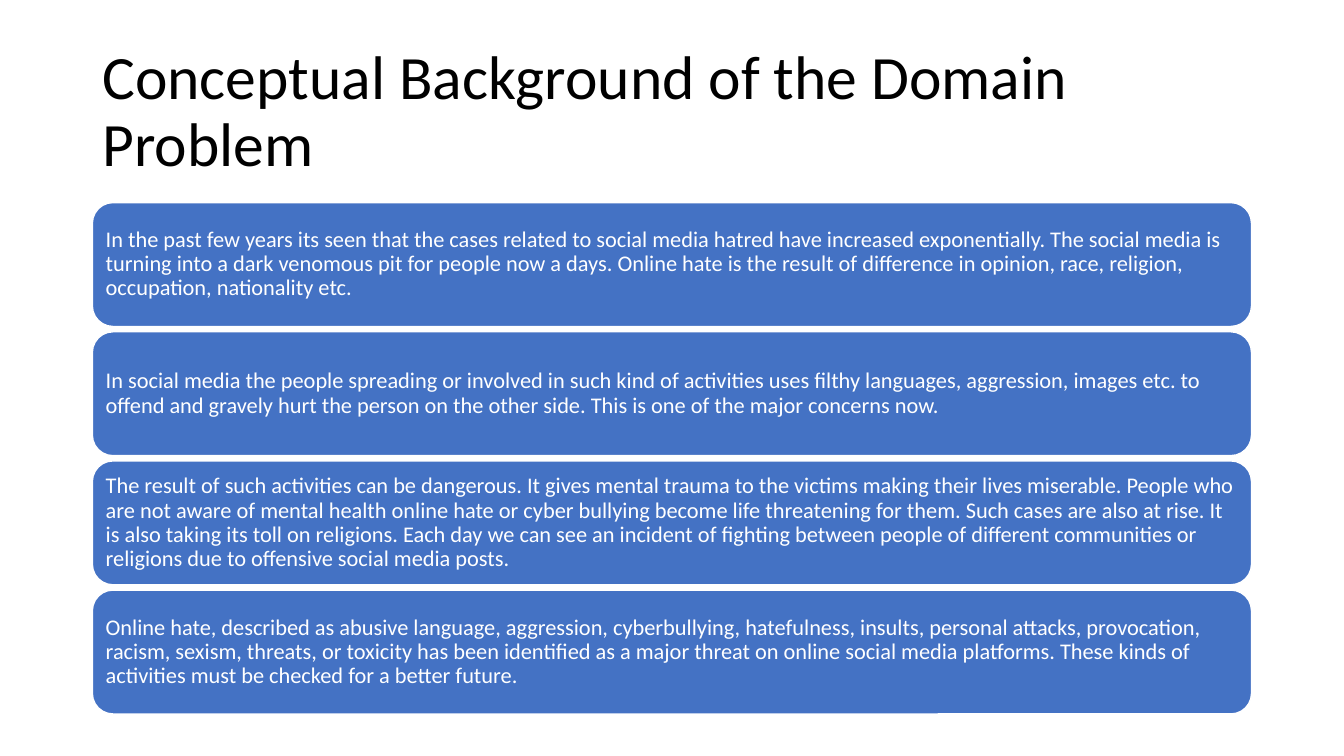
import dataclasses

import pptx
import pptx.dml.color
import pptx.enum.shapes
import pptx.enum.text
import pptx.util

BLACK = pptx.dml.color.RGBColor(0x00, 0x00, 0x00)
WHITE = pptx.dml.color.RGBColor(0xFF, 0xFF, 0xFF)
BLUE = pptx.dml.color.RGBColor(0x44, 0x72, 0xC4)

SCALE = 9525  # EMU in one px, at 96 px to the inch
LEFT, WIDTH = 88, 1104
CARD_TOP, CARD_STEP, CARD_HEIGHT = 193, 123, 118
CARD_PAD = 7

TITLE = "Conceptual Background of the Domain Problem"
POINTS = [
    "In the past few years its seen that the cases related to social media "
    "hatred have increased exponentially. The social media is turning into a "
    "dark venomous pit for people now a days. Online hate is the result of "
    "difference in opinion, race, religion, occupation, nationality etc.",
    "In social media the people spreading or involved in such kind of "
    "activities uses filthy languages, aggression, images etc. to offend and "
    "gravely hurt the person on the other side. This is one of the major "
    "concerns now.",
    "The result of such activities can be dangerous. It gives mental trauma to "
    "the victims making their lives miserable. People who are not aware of "
    "mental health online hate or cyber bullying become life threatening for "
    "them. Such cases are also at rise. It is also taking its toll on "
    "religions. Each day we can see an incident of fighting between people of "
    "different communities or religions due to offensive social media posts.",
    "Online hate, described as abusive language, aggression, cyberbullying, "
    "hatefulness, insults, personal attacks, provocation, racism, sexism, "
    "threats, or toxicity has been identified as a major threat on online "
    "social media platforms. These kinds of activities must be checked for a "
    "better future.",
]


@dataclasses.dataclass(frozen=True)
class Card:
    top: int
    text: str


def px(count: int) -> pptx.util.Emu:
    return pptx.util.Emu(count * SCALE)


def apply(target: object, values: dict) -> None:
    """Set each named attribute of the target."""
    for name, value in values.items():
        setattr(target, name, value)


def write(shape, text: str, size: int, color: pptx.dml.color.RGBColor) -> None:
    frame = shape.text_frame
    frame.text = text
    apply(frame, {
        "word_wrap": True,
        "vertical_anchor": pptx.enum.text.MSO_ANCHOR.MIDDLE,
    })
    line = frame.paragraphs[0]
    apply(line, {
        "alignment": pptx.enum.text.PP_ALIGN.LEFT,
        "line_spacing": 0.9,
    })
    font = line.runs[0].font
    apply(font, {"name": "Calibri", "size": pptx.util.Pt(size)})
    font.color.rgb = color


def draw_title(slide) -> None:
    box = slide.shapes.add_textbox(px(LEFT), px(38), px(WIDTH), px(139))
    write(box, TITLE, 44, BLACK)


def draw_card(slide, card: Card) -> None:
    shape = slide.shapes.add_shape(
        pptx.enum.shapes.MSO_SHAPE.ROUNDED_RECTANGLE,
        px(LEFT), px(card.top), px(WIDTH), px(CARD_HEIGHT),
    )
    shape.shadow.inherit = False
    shape.fill.solid()
    shape.fill.fore_color.rgb = BLUE
    shape.line.color.rgb = WHITE
    shape.line.width = pptx.util.Pt(1)
    sides = ("left", "top", "right", "bottom")
    apply(shape.text_frame, {f"margin_{side}": px(CARD_PAD) for side in sides})
    write(shape, card.text, 16, WHITE)


def main() -> None:
    deck = pptx.Presentation()
    apply(deck, {"slide_width": px(1280), "slide_height": px(720)})
    slide = deck.slides.add_slide(deck.slide_layouts[6])
    draw_title(slide)
    for row, text in enumerate(POINTS):
        draw_card(slide, Card(CARD_TOP + row * CARD_STEP, text))
    deck.save("out.pptx")


if __name__ == "__main__":
    main()
